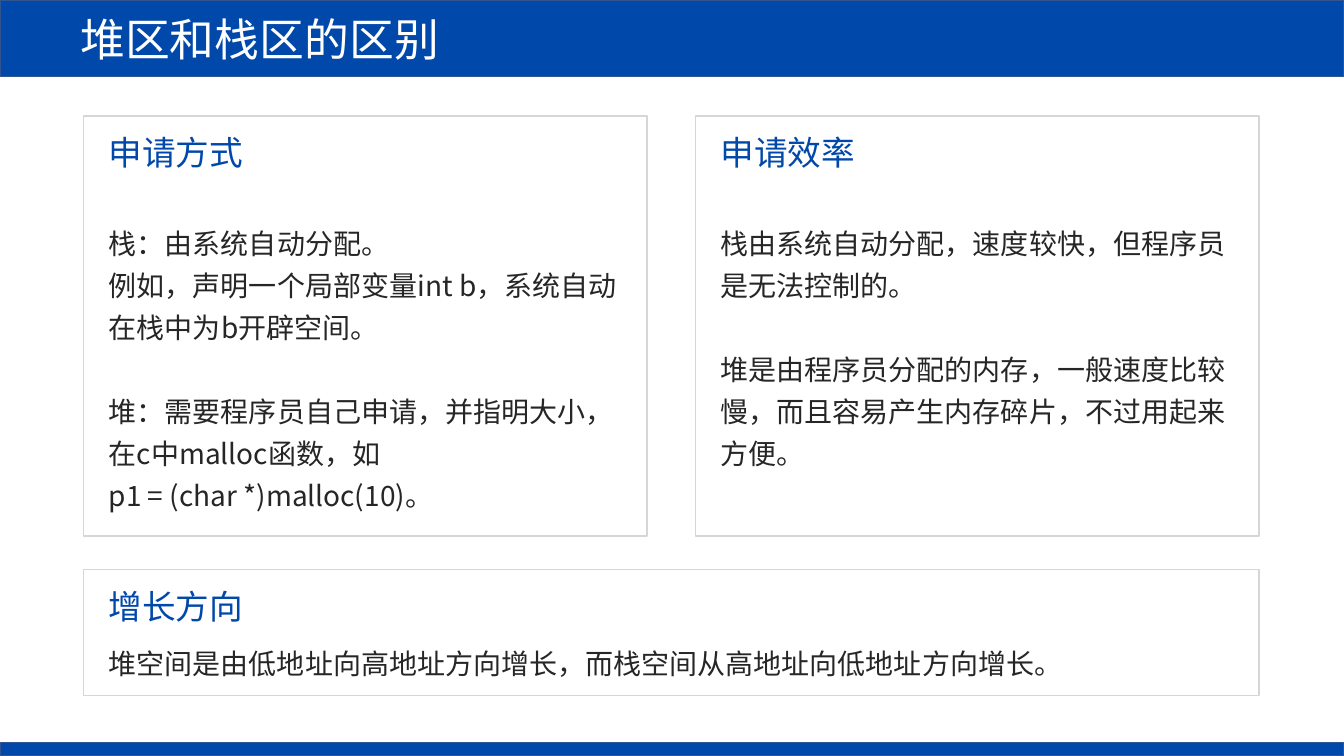
from lxml import etree
from pptx import Presentation
from pptx.dml.color import RGBColor
from pptx.enum.shapes import MSO_SHAPE as Shape
from pptx.enum.text import MSO_ANCHOR as Anchor, PP_ALIGN as Align
from pptx.oxml.ns import qn
from pptx.util import Pt

FONT = "Noto Sans CJK SC"
BLUE, NAVY, GREY, INK, WHITE = "0048AA", "325491", "D6D6D6", "262626", "FFFFFF"
INSET = 10.8
BLANK_LINE = 30

presentation = Presentation()
presentation.slide_width, presentation.slide_height = Pt(960), Pt(540)
slide = presentation.slides.add_slide(presentation.slide_layouts[6])


def add_rectangle(left, top, width, height, line, fill=None):
    shape = slide.shapes.add_shape(
        Shape.RECTANGLE, Pt(left), Pt(top), Pt(width), Pt(height))
    shape.shadow.inherit = False
    if fill:
        shape.fill.solid()
        shape.fill.fore_color.rgb = RGBColor.from_string(fill)
    else:
        shape.fill.background()
    shape.line.color.rgb = RGBColor.from_string(line)
    shape.line.width = Pt(1)
    return shape


def write_text(frame, *lines, size, color, spacing=None, wrap=True, gap_before=None):
    """Write one paragraph per line; gap_before is the index of the line set apart."""
    frame.word_wrap = wrap
    for index, line in enumerate(lines):
        paragraph = frame.paragraphs[0] if index == 0 else frame.add_paragraph()
        paragraph.alignment = Align.LEFT
        if spacing:
            paragraph.line_spacing = spacing
        if index == gap_before:
            paragraph.space_before = Pt(BLANK_LINE)
        run = paragraph.add_run()
        run.text = line
        run.font.size = Pt(size)
        run.font.color.rgb = RGBColor.from_string(color)
        run.font.name = FONT
        east_asian = etree.SubElement(run.font._element, qn("a:ea"))
        east_asian.set("typeface", FONT)


title_bar = add_rectangle(0, 0, 960, 54.7, NAVY, BLUE)
title_bar.text_frame.margin_left = Pt(57.4)
title_bar.text_frame.vertical_anchor = Anchor.MIDDLE
write_text(title_bar.text_frame, "堆区和栈区的区别", size=32, color=WHITE)
add_rectangle(0, 530.6, 960, 9.4, NAVY, BLUE)

# left, top, width, height, body top, body height, heading, lines, line set apart
cards = [
    (59.8, 82.8, 402.5, 300.2, 152, 216.7, "申请方式", [
        "栈：由系统自动分配。",
        "例如，声明一个局部变量int b，系统自动在栈中为b开辟空间。",
        "堆：需要程序员自己申请，并指明大小，",
        "在c中malloc函数，如",
        "p1 = (char *)malloc(10)。"], 2),
    (496.8, 82.8, 402.5, 300.2, 152, 186.5, "申请效率", [
        "栈由系统自动分配，速度较快，但程序员是无法控制的。",
        "堆是由程序员分配的内存，一般速度比较慢，而且容易产生内存碎片，不过用起来方便。"], 1),
    (59.8, 406.8, 839.5, 90, 452.2, 34.6, "增长方向", [
        "堆空间是由低地址向高地址方向增长，而栈空间从高地址向低地址方向增长。"], None),
]
for left, top, width, height, body_top, body_height, heading, lines, gap in cards:
    add_rectangle(left, top, width, height, GREY)
    heading_box = slide.shapes.add_textbox(
        Pt(left + INSET), Pt(top + 8.2), Pt(111.6), Pt(36))
    write_text(heading_box.text_frame, heading, size=24, color=BLUE, wrap=False)
    body_box = slide.shapes.add_textbox(
        Pt(left + INSET), Pt(body_top), Pt(width - 2 * INSET), Pt(body_height))
    write_text(body_box.text_frame, *lines, size=20, color=INK,
               spacing=1.25, gap_before=gap)

presentation.save("out.pptx")
